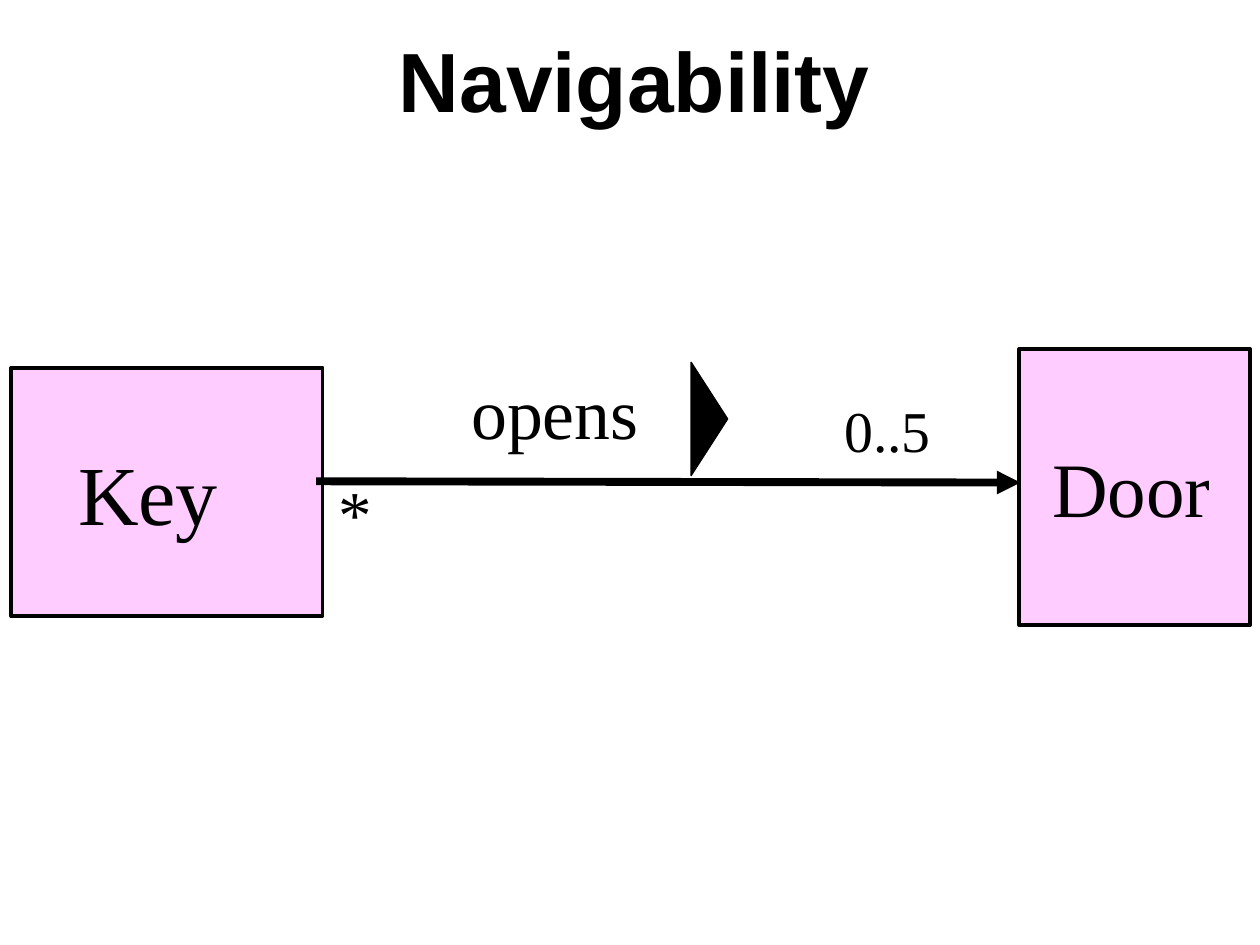
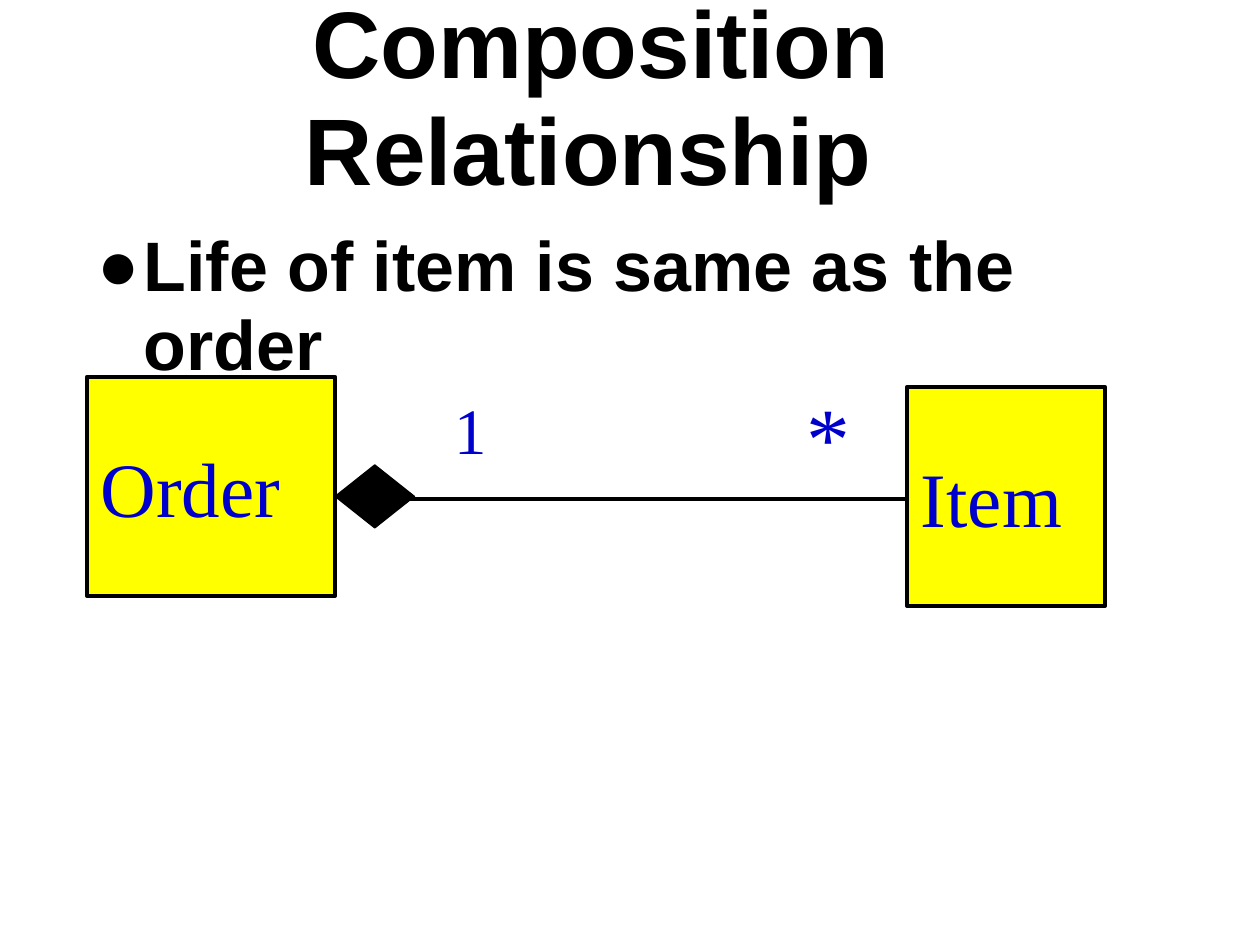
from lxml.etree import SubElement
from pptx import Presentation
from pptx.dml.color import RGBColor
from pptx.enum.shapes import MSO_CONNECTOR as Connector, MSO_SHAPE as Shape
from pptx.enum.text import MSO_ANCHOR as Anchor, MSO_AUTO_SIZE as AutoSize, PP_ALIGN as Align
from pptx.oxml.ns import qn
from pptx.util import Inches, Pt

BLACK = RGBColor(0x00, 0x00, 0x00)
PINK = RGBColor(0xFF, 0xCC, 0xFF)
YELLOW = RGBColor(0xFF, 0xFF, 0x00)
BLUE = RGBColor(0x00, 0x00, 0xCC)
HEADING_FONT = "Arial"
DIAGRAM_FONT = "Times New Roman"

SLIDE_WIDTH, SLIDE_HEIGHT = Inches(10), Inches(7.5)
COLUMNS, ROWS = 100, 75
TITLE_ONLY, TITLE_AND_BODY = 5, 1
BOX_PAD = 1.1


def col(count):
    return round(SLIDE_WIDTH * count / COLUMNS)


def row(count):
    return round(SLIDE_HEIGHT * count / ROWS)


def grid(left, top, width, height):
    return col(left), row(top), col(width), row(height)


def set_margins(frame, side, end):
    frame.margin_left = frame.margin_right = col(side)
    frame.margin_top = frame.margin_bottom = row(end)


def add_run(paragraph, text, font, size, color, bold=False):
    run = paragraph.add_run()
    run.text = text
    run.font.name = font
    run.font.size = Pt(size)
    run.font.bold = bold
    run.font.color.rgb = color
    return run


def fill_placeholder(holder, area, text, size, align, anchor, side=0.2, end=0.6):
    holder.left, holder.top, holder.width, holder.height = grid(*area)
    frame = holder.text_frame
    frame.word_wrap = True
    frame.auto_size = AutoSize.NONE
    frame.vertical_anchor = anchor
    set_margins(frame, side, end)
    paragraph = frame.paragraphs[0]
    paragraph.alignment = align
    paragraph.space_before = Pt(0)
    add_run(paragraph, text, HEADING_FONT, size, BLACK, bold=True)
    return paragraph


def set_indent(paragraph, margin, first_line):
    properties = paragraph._p.get_or_add_pPr()
    properties.set("marL", str(col(margin)))
    properties.set("indent", str(col(first_line)))
    return properties


def add_bullet(paragraph, hanging):
    properties = set_indent(paragraph, hanging, -hanging)
    color = SubElement(properties, qn("a:buClr"))
    SubElement(color, qn("a:srgbClr"), val=str(BLACK))
    SubElement(properties, qn("a:buFont"), typeface=HEADING_FONT)
    SubElement(properties, qn("a:buChar"), char="●")


def add_outlined(slide, kind, area, fill, line_width):
    shape = slide.shapes.add_shape(kind, *grid(*area))
    shape.shadow.inherit = False
    shape.fill.solid()
    shape.fill.fore_color.rgb = fill
    shape.line.color.rgb = BLACK
    shape.line.width = Pt(line_width)
    return shape


def add_class_box(slide, area, name, size, fill, color, indent=0):
    frame = add_outlined(slide, Shape.RECTANGLE, area, fill, 2.25).text_frame
    frame.word_wrap = True
    frame.vertical_anchor = Anchor.MIDDLE
    set_margins(frame, BOX_PAD, 0.6)
    frame.margin_left = col(BOX_PAD + indent)
    paragraph = frame.paragraphs[0]
    paragraph.alignment = Align.LEFT
    add_run(paragraph, name, DIAGRAM_FONT, size, color)


def add_label(slide, area, text, size, color):
    frame = slide.shapes.add_textbox(*grid(*area)).text_frame
    frame.word_wrap = False
    frame.auto_size = AutoSize.SHAPE_TO_FIT_TEXT
    set_margins(frame, 0, 0)
    return add_run(frame.paragraphs[0], text, DIAGRAM_FONT, size, color)


def add_association(slide, start, end, width, arrow=False):
    line = slide.shapes.add_connector(
        Connector.STRAIGHT, col(start[0]), row(start[1]), col(end[0]), row(end[1]))
    line.line.color.rgb = BLACK
    line.line.width = Pt(width)
    properties = line._element.spPr
    if arrow:
        SubElement(properties.find(qn("a:ln")), qn("a:tailEnd"), type="triangle")
    SubElement(properties, qn("a:effectLst"))


def build_navigability(deck):
    slide = deck.slides.add_slide(deck.slide_layouts[TITLE_ONLY])
    fill_placeholder(slide.shapes.title, (7.7, 0, 85.3, 12.5), "Navigability", 48,
                     Align.CENTER, Anchor.MIDDLE, side=0, end=0)
    add_class_box(slide, (0.9, 29.2, 24.7, 19.7), "Key", 48, PINK, BLACK, indent=4.2)
    add_class_box(slide, (80.9, 27.7, 18.3, 21.9), "Door", 44, PINK, BLACK, indent=1.5)
    add_association(slide, (25.1, 38.2), (81, 38.3), 4.5, arrow=True)
    direction = add_outlined(slide, Shape.ISOSCELES_TRIANGLE, (51.8, 31.8, 9, 2.9), BLACK, 0.75)
    direction.rotation = 90
    add_label(slide, (67, 31.3, 6.9, 5.5), "0..5", 33, BLACK)
    key_count = add_label(slide, (26.9, 31.3, 2.7, 12.5), "*", 66, BLACK)
    key_count.font._element.set("baseline", "-25000")
    add_label(slide, (37.4, 29.2, 13.4, 6.8), "opens", 41, BLACK)


def build_composition(deck):
    slide = deck.slides.add_slide(deck.slide_layouts[TITLE_AND_BODY])
    title = fill_placeholder(slide.shapes.title, (4.2, 1.7, 85, 12.5),
                             "Composition Relationship", 54, Align.CENTER, Anchor.MIDDLE)
    title.line_spacing = 0.94
    set_indent(title, 0, 2)
    lifetime = fill_placeholder(slide.placeholders[1], (7.5, 17.5, 85, 8.3),
                                "Life of item is same as the order", 40,
                                Align.LEFT, Anchor.TOP)
    lifetime.line_spacing = 0.94
    lifetime.space_after = Pt(13.8)
    add_bullet(lifetime, 3.7)
    add_class_box(slide, (6.9, 29.9, 19.7, 17.4), "Order", 44, YELLOW, BLUE)
    add_label(slide, (36.1, 30.9, 2.6, 6.2), "1", 37, BLUE)
    add_label(slide, (64, 30.3, 3.5, 8.3), "*", 50, BLUE)
    add_class_box(slide, (72, 30.7, 15.7, 17.4), "Item", 44, YELLOW, BLUE)
    add_outlined(slide, Shape.FLOWCHART_DECISION, (26.6, 36.9, 6.3, 5), BLACK, 0.75)
    add_association(slide, (32.5, 39.6), (71.8, 39.6), 2.25)


def main():
    deck = Presentation()
    deck.slide_width, deck.slide_height = SLIDE_WIDTH, SLIDE_HEIGHT
    build_navigability(deck)
    build_composition(deck)
    deck.save("out.pptx")


if __name__ == "__main__":
    main()
